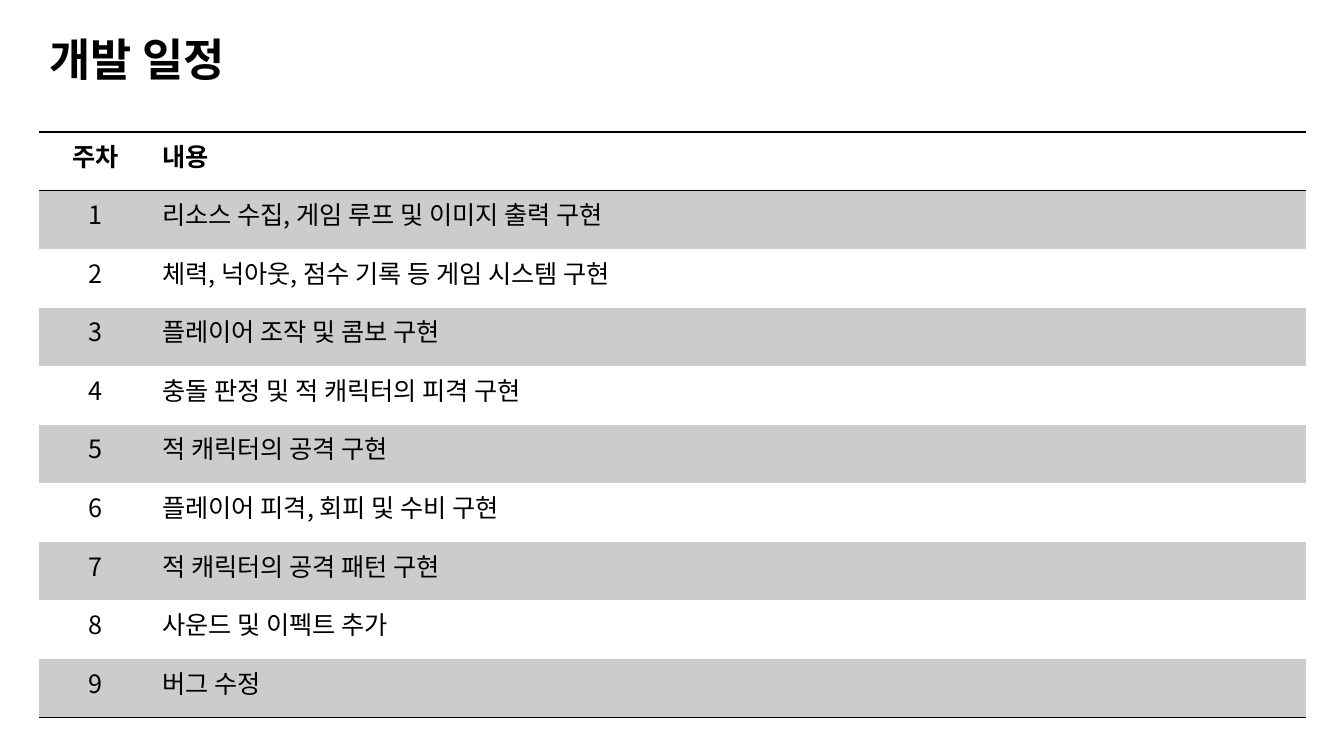
from pptx import Presentation, util as u
from pptx.dml.color import RGBColor
from pptx.enum import text
from pptx.oxml import parse_xml
from pptx.oxml.ns import nsdecls, qn

PLAIN_TABLE = "{2D5ABB26-0587-4C30-8999-92F81FD0307C}"
SCHEDULE = [
    "리소스 수집, 게임 루프 및 이미지 출력 구현",
    "체력, 넉아웃, 점수 기록 등 게임 시스템 구현",
    "플레이어 조작 및 콤보 구현",
    "충돌 판정 및 적 캐릭터의 피격 구현",
    "적 캐릭터의 공격 구현",
    "플레이어 피격, 회피 및 수비 구현",
    "적 캐릭터의 공격 패턴 구현",
    "사운드 및 이펙트 추가",
    "버그 수정",
]


def color(value):
    return RGBColor.from_string(value)


class Deck:
    font = "Noto Sans CJK KR"
    ink = "000000"
    band = "CCCCCC"
    paper = "FFFFFF"

    def __init__(self):
        self.prs = Presentation()
        self.prs.slide_width = u.Inches(13.33)
        self.prs.slide_height = u.Inches(7.5)
        self.s = self.prs.slides.add_slide(self.prs.slide_layouts[5])

    def run(self, p, words, size, bold):
        r = p.add_run()
        r.text = words
        r.font.size = u.Pt(size)
        r.font.bold = bold
        r.font.color.rgb = color(self.ink)
        r.font.name = self.font
        latin = r.font._element.find(qn("a:latin"))
        latin.addnext(parse_xml(f'<a:ea {nsdecls("a")} typeface="{self.font}"/>'))

    def title(self, words, left, top, width, height):
        sp = self.s.shapes.title
        sp.left, sp.top = u.Inches(left), u.Inches(top)
        sp.width, sp.height = u.Inches(width), u.Inches(height)
        tf = sp.text_frame
        tf.word_wrap = True
        tf.auto_size = text.MSO_AUTO_SIZE.SHAPE_TO_FIT_TEXT
        tf.vertical_anchor = text.MSO_ANCHOR.TOP
        p = tf.paragraphs[0]
        p.alignment = text.PP_ALIGN.LEFT
        self.run(p, words, 32, True)

    def border(self, cell, side):
        cell._tc.get_or_add_tcPr().append(parse_xml(
            f'<a:ln{side} {nsdecls("a")} w="{u.Pt(1)}"><a:solidFill>'
            f'<a:srgbClr val="{self.ink}"/></a:solidFill></a:ln{side}>'))

    def table(self, rows, left, top, widths, height):
        frame = self.s.shapes.add_table(
            len(rows), len(widths), u.Inches(left), u.Inches(top),
            u.Inches(sum(widths)), u.Inches(height))
        tbl = frame.table
        tbl.horz_banding = False
        tbl._tbl.tblPr.find(qn("a:tableStyleId")).text = PLAIN_TABLE
        for column, width in zip(tbl.columns, widths):
            column.width = u.Inches(width)
        borders = {0: "TB", len(rows) - 1: "B"}
        for i, row in enumerate(rows):
            for j, words in enumerate(row):
                cell = tbl.cell(i, j)
                for side in borders.get(i, ""):
                    self.border(cell, side)
                cell.fill.solid()
                cell.fill.fore_color.rgb = color(self.band if i % 2 else self.paper)
                p = cell.text_frame.paragraphs[0]
                p.alignment = text.PP_ALIGN.LEFT if j else text.PP_ALIGN.CENTER
                self.run(p, words, 18, i == 0)


def main():
    deck = Deck()
    deck.title("개발 일정", 0.39, 0.26, 2.15, 0.64)
    rows = [("주차", "내용")]
    rows += [(str(week), task) for week, task in enumerate(SCHEDULE, 1)]
    deck.table(rows, 0.39, 1.31, [1.12, 11.44], 5.81)
    deck.prs.save("out.pptx")


if __name__ == "__main__":
    main()
